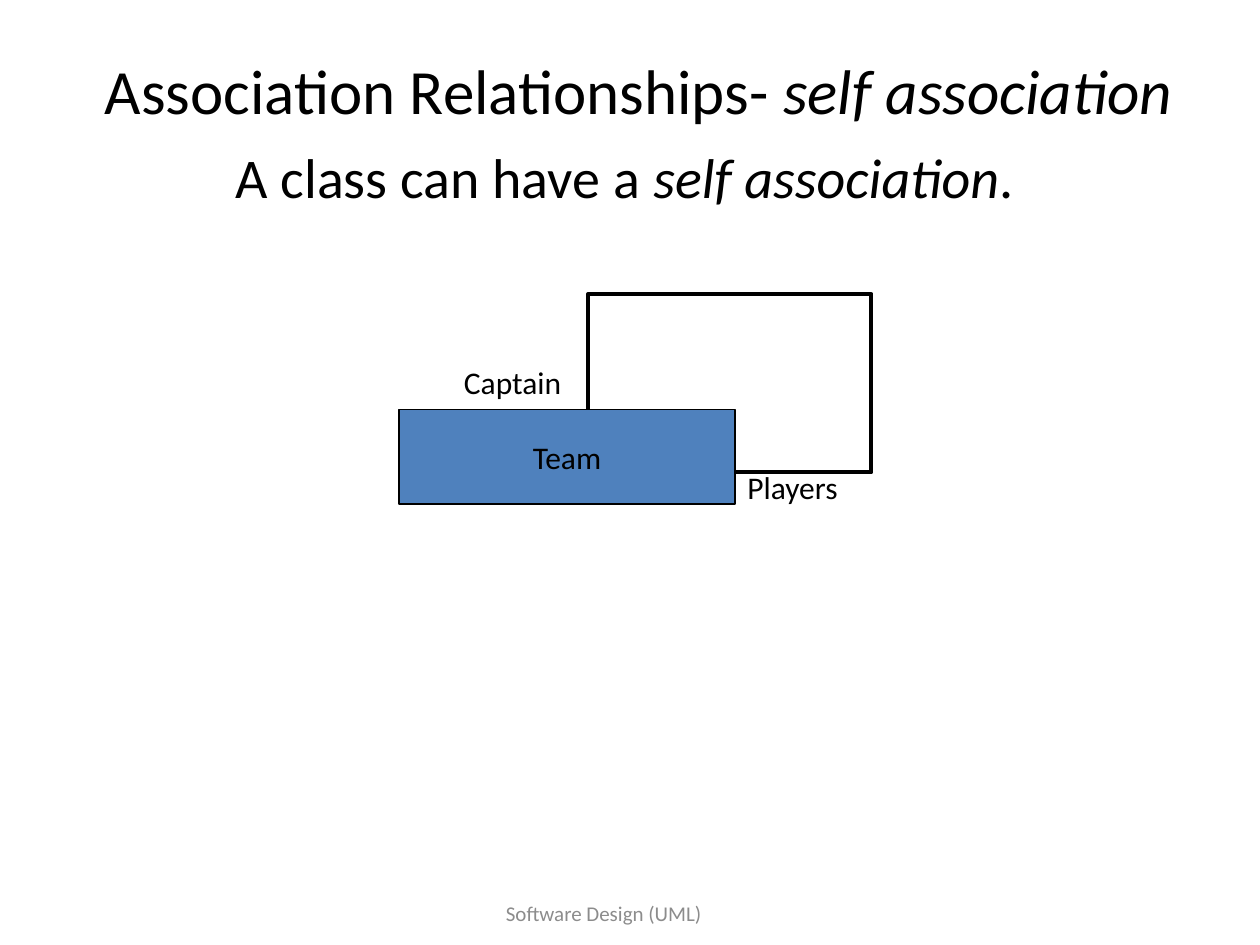
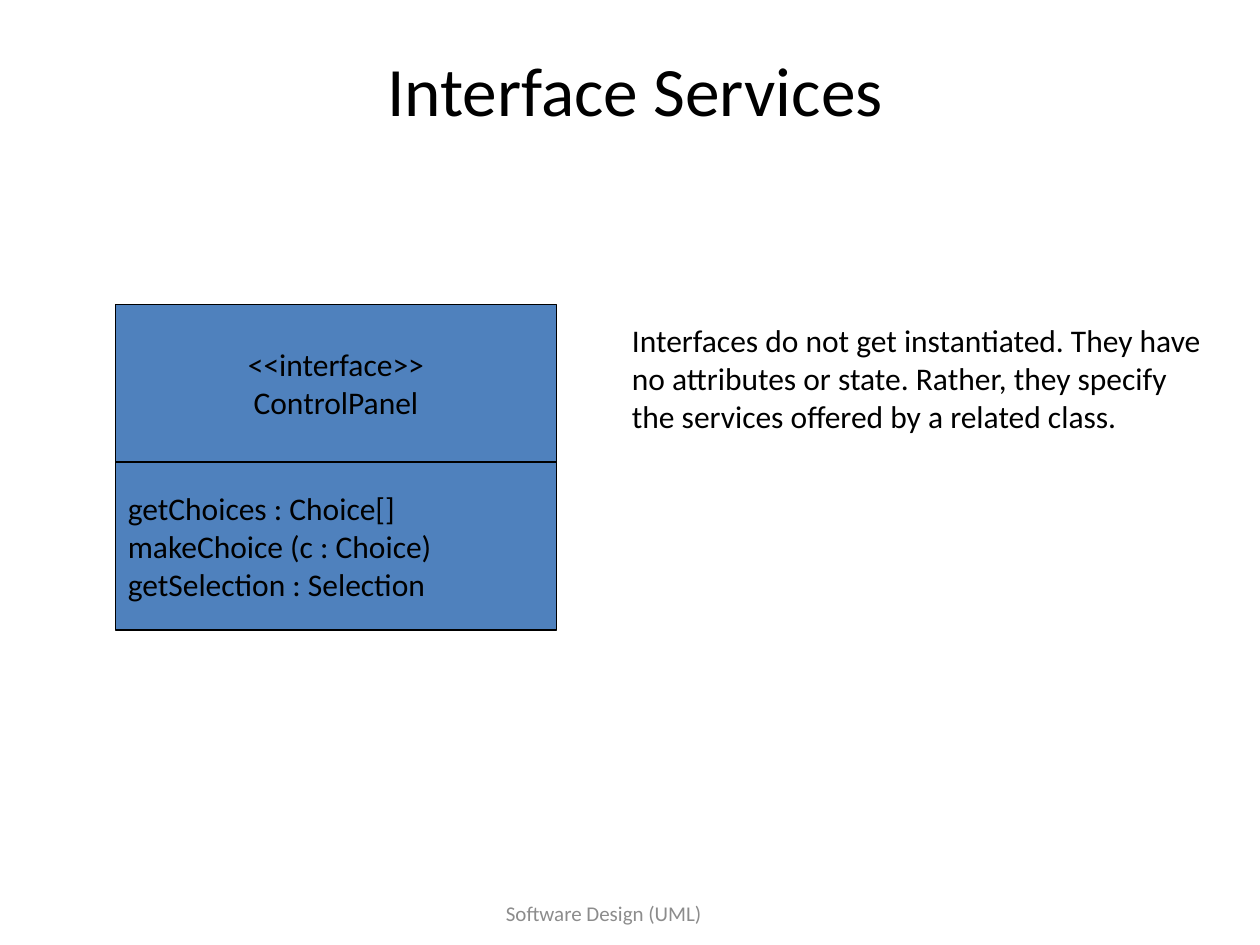
from collections import namedtuple

from pptx import Presentation
from pptx.dml.color import RGBColor
from pptx.enum.shapes import MSO_SHAPE
from pptx.enum.text import MSO_ANCHOR, PP_ALIGN
from pptx.util import Inches, Pt

RECTANGLE = MSO_SHAPE.RECTANGLE
LEFT, CENTER = PP_ALIGN.LEFT, PP_ALIGN.CENTER
TOP, MIDDLE = MSO_ANCHOR.TOP, MSO_ANCHOR.MIDDLE

BLACK = RGBColor(0x00, 0x00, 0x00)
WHITE = RGBColor(0xFF, 0xFF, 0xFF)
CLASS_BLUE = RGBColor(0x4F, 0x81, 0xBD)
FOOTER_GRAY = RGBColor(0x8C, 0x8C, 0x8C)

SLIDE_WIDTH, SLIDE_HEIGHT = Inches(10), Inches(7.5)
COLUMNS, ROWS = 120, 90
BODY = {"name": "Calibri", "size": Pt(18), "color": BLACK}
FOOTER = {**BODY, "size": Pt(12), "color": FOOTER_GRAY}

# Boxes are counted in grid columns and rows.
Box = namedtuple("Box", "column row columns rows")
FOOTER_BOX = Box(31, 84, 53, 6)


def inside(box, column, row, columns, rows):
    """Return the box at an offset from the corner of another box."""
    return Box(box.column + column, box.row + row, columns, rows)


def to_lengths(box):
    cell_width, cell_height = SLIDE_WIDTH / COLUMNS, SLIDE_HEIGHT / ROWS
    return (round(box.column * cell_width), round(box.row * cell_height),
            round(box.columns * cell_width), round(box.rows * cell_height))


def style_font(font, style):
    for attribute, value in style.items():
        if attribute == "color":
            font.color.rgb = value
        else:
            setattr(font, attribute, value)


def write(frame, lines, style, align=LEFT, anchor=TOP, wrap=True):
    """Write lines, each a list of (text, italic) runs or a plain string."""
    frame.word_wrap = wrap
    frame.vertical_anchor = anchor
    for index, line in enumerate(lines):
        paragraph = frame.add_paragraph() if index else frame.paragraphs[0]
        paragraph.alignment = align
        runs = [(line, False)] if isinstance(line, str) else line
        for text, italic in runs:
            run = paragraph.add_run()
            run.text = text
            style_font(run.font, {**style, "italic": italic})


def add_text(slide, box, lines, style=BODY, **layout):
    frame = slide.shapes.add_textbox(*to_lengths(box)).text_frame
    write(frame, lines, style, **layout)


def add_rectangle(slide, box, fill=CLASS_BLUE, line_width=0.75):
    rectangle = slide.shapes.add_shape(RECTANGLE, *to_lengths(box))
    rectangle.shadow.inherit = False
    rectangle.fill.solid()
    rectangle.fill.fore_color.rgb = fill
    rectangle.line.color.rgb = BLACK
    rectangle.line.width = Pt(line_width)
    return rectangle


def add_compartment(slide, box, lines, align=CENTER):
    """Add one labelled part of a UML class."""
    write(add_rectangle(slide, box).text_frame, lines, BODY,
          align=align, anchor=MIDDLE, wrap=False)


def add_titled_slide(deck, title, title_box, title_size):
    slide = deck.slides.add_slide(deck.slide_layouts[6])
    add_text(slide, FOOTER_BOX, ["Software Design (UML)"], FOOTER,
             align=CENTER, anchor=MIDDLE)
    add_text(slide, title_box, [title], {**BODY, "size": Pt(title_size)},
             align=CENTER, anchor=MIDDLE)
    return slide


def add_self_association(slide, box):
    """Draw a class whose association loops back to itself."""
    add_rectangle(slide, inside(box, 18, 0, 27, 17), WHITE, 2.25)
    add_compartment(slide, inside(box, 0, 11, 32, 9), ["Team"])
    for role, column, row in (("Captain", 5, 6), ("Players", 32, 16)):
        add_text(slide, inside(box, column, row, 14, 5), [role])


def add_interface(slide, box, header, services):
    header_rows = 15
    add_compartment(slide, inside(box, 0, 0, box.columns, header_rows), header)
    add_compartment(
        slide,
        inside(box, 0, header_rows, box.columns, box.rows - header_rows),
        services, align=LEFT)


def build_association_slide(deck):
    slide = add_titled_slide(
        deck,
        [("Association Relationships-", False), (" self association ", True)],
        Box(8, 5, 107, 7), 36)
    add_text(slide, Box(8, 13, 103, 8),
             [[("A class can have a ", False), ("self association", True),
               (".", False)]],
             {**BODY, "size": Pt(32)}, align=CENTER)
    add_self_association(slide, Box(38, 28, 46, 21))


def build_interface_slide(deck):
    slide = add_titled_slide(deck, "Interface Services",
                             Box(9, 5, 103, 7), 39.6)
    add_text(slide, Box(59, 30, 58, 20),
             ["Interfaces do not get instantiated. They have no attributes or "
              "state. Rather, they specify the services offered by a related "
              "class."])
    add_interface(slide, Box(11, 29, 42, 31),
                  ["<<interface>>", "ControlPanel"],
                  ["getChoices : Choice[]", "makeChoice (c : Choice)",
                   "getSelection : Selection"])


def main():
    deck = Presentation()
    deck.slide_width, deck.slide_height = SLIDE_WIDTH, SLIDE_HEIGHT
    build_association_slide(deck)
    build_interface_slide(deck)
    deck.save("out.pptx")


if __name__ == "__main__":
    main()
